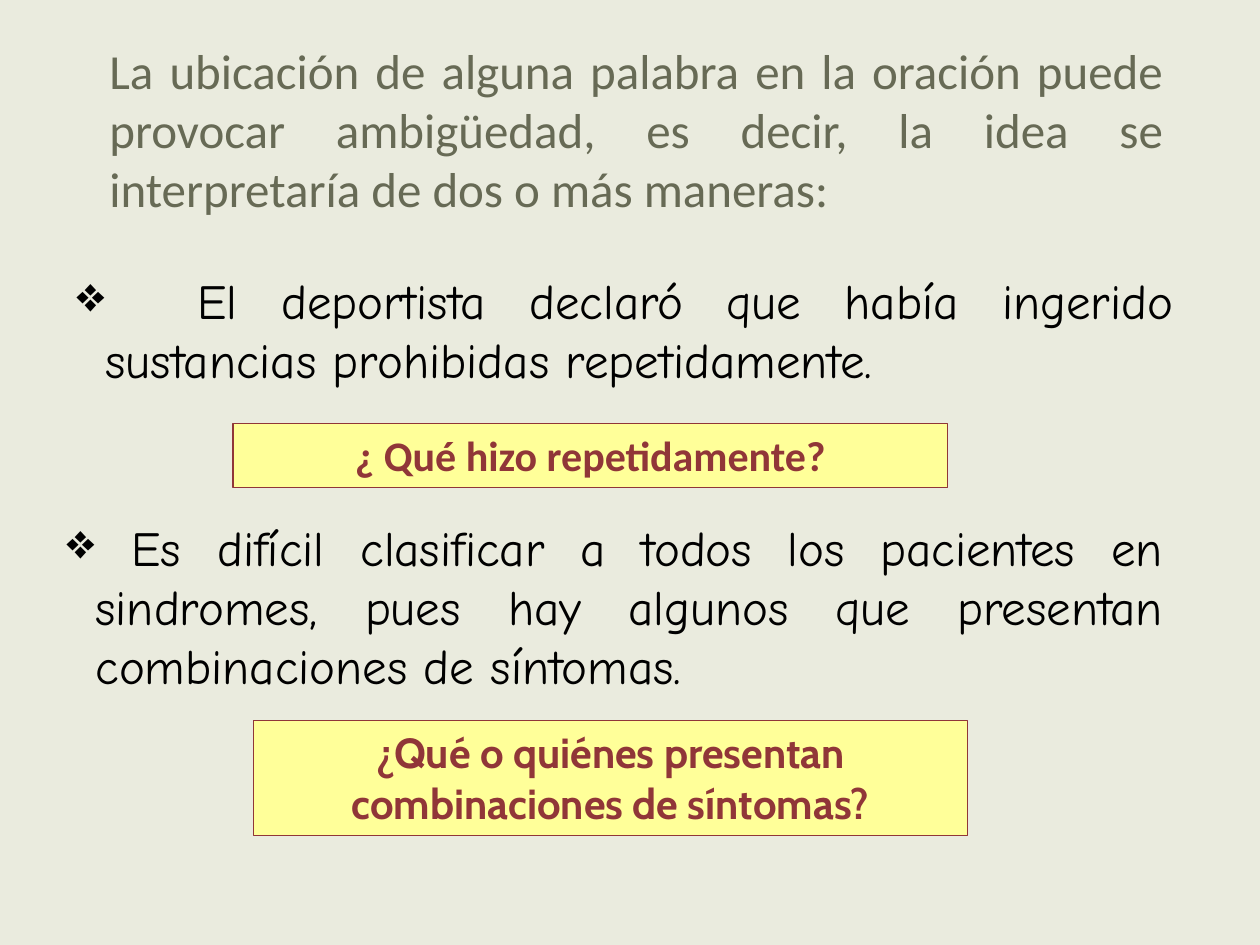
import pptx
import pptx.dml.color
import pptx.enum.shapes
import pptx.enum.text
import pptx.oxml.ns
import pptx.util
from lxml import etree

Inches = pptx.util.Inches
ALIGN = pptx.enum.text.PP_ALIGN
ANCHOR = pptx.enum.text.MSO_ANCHOR
HANG = 0.23


def rgb(value):
    return pptx.dml.color.RGBColor.from_string(value)


def write(tf, text, size=28, font="Calibri", color="000000", bold=False,
          align=ALIGN.JUSTIFY, anchor=ANCHOR.TOP):
    tf.word_wrap = True
    tf.vertical_anchor = anchor
    p = tf.paragraphs[0]
    p.alignment = align
    r = p.add_run()
    r.text = text
    r.font.size = pptx.util.Pt(size)
    r.font.name = font
    r.font.bold = bold
    r.font.color.rgb = rgb(color)
    return p


def add_bullet(p, char, tab=None):
    pPr = p._p.get_or_add_pPr()
    pPr.set("marL", str(Inches(HANG)))
    pPr.set("indent", str(-Inches(HANG)))
    qn = pptx.oxml.ns.qn
    etree.SubElement(pPr, qn("a:buChar"), char=char)
    if tab:
        tabs = etree.SubElement(pPr, qn("a:tabLst"))
        etree.SubElement(tabs, qn("a:tab"), pos=str(Inches(tab)), algn="l")


def add_text_box(s, box):
    return s.shapes.add_textbox(*map(Inches, box)).text_frame


def add_heading(s, box, text):
    p = write(add_text_box(s, box), text, color="676A55", anchor=ANCHOR.MIDDLE)
    p._p.get_or_add_pPr().set("marL", str(Inches(0.38)))


def add_example(s, box, text, tab=None):
    p = write(add_text_box(s, box), text, font="Comic Neue")
    add_bullet(p, "❖", tab)


def add_question(s, box, text, font):
    sp = s.shapes.add_shape(pptx.enum.shapes.MSO_SHAPE.RECTANGLE, *map(Inches, box))
    sp.shadow.inherit = False
    sp.fill.solid()
    sp.fill.fore_color.rgb = rgb("FFFF99")
    sp.line.color.rgb = rgb("903638")
    sp.line.width = pptx.util.Pt(0.75)
    write(sp.text_frame, text, size=24, font=font, color="903638", bold=True,
          align=ALIGN.CENTER)


def main():
    prs = pptx.Presentation()
    prs.slide_width, prs.slide_height = Inches(10), Inches(7.5)
    s = prs.slides.add_slide(prs.slide_layouts[6])
    s.background.fill.solid()
    s.background.fill.fore_color.rgb = rgb("EAEBDE")

    # Introductory statement
    add_heading(s, (0.39, 0.23, 8.94, 1.59),
                "La ubicación de alguna palabra en la oración puede provocar "
                "ambigüedad, es decir, la idea se interpretaría de dos o más maneras:")

    # Ambiguous sentences, each followed by its question
    add_example(s, (0.51, 2.1, 8.9, 1.03),
                "\tEl deportista declaró que había ingerido sustancias "
                "prohibidas repetidamente.", tab=0.96)
    add_question(s, (1.85, 3.36, 5.67, 0.51), "¿ Qué hizo repetidamente?", "Calibri")
    add_example(s, (0.43, 4.06, 8.9, 1.5),
                " Es difícil clasificar a todos los pacientes en sindromes, pues "
                "hay algunos que presentan combinaciones de síntomas.")
    add_question(s, (2.01, 5.72, 5.67, 0.91),
                 "¿Qué o quiénes presentan combinaciones de síntomas?", "Cabin")

    prs.save("out.pptx")


if __name__ == "__main__":
    main()
